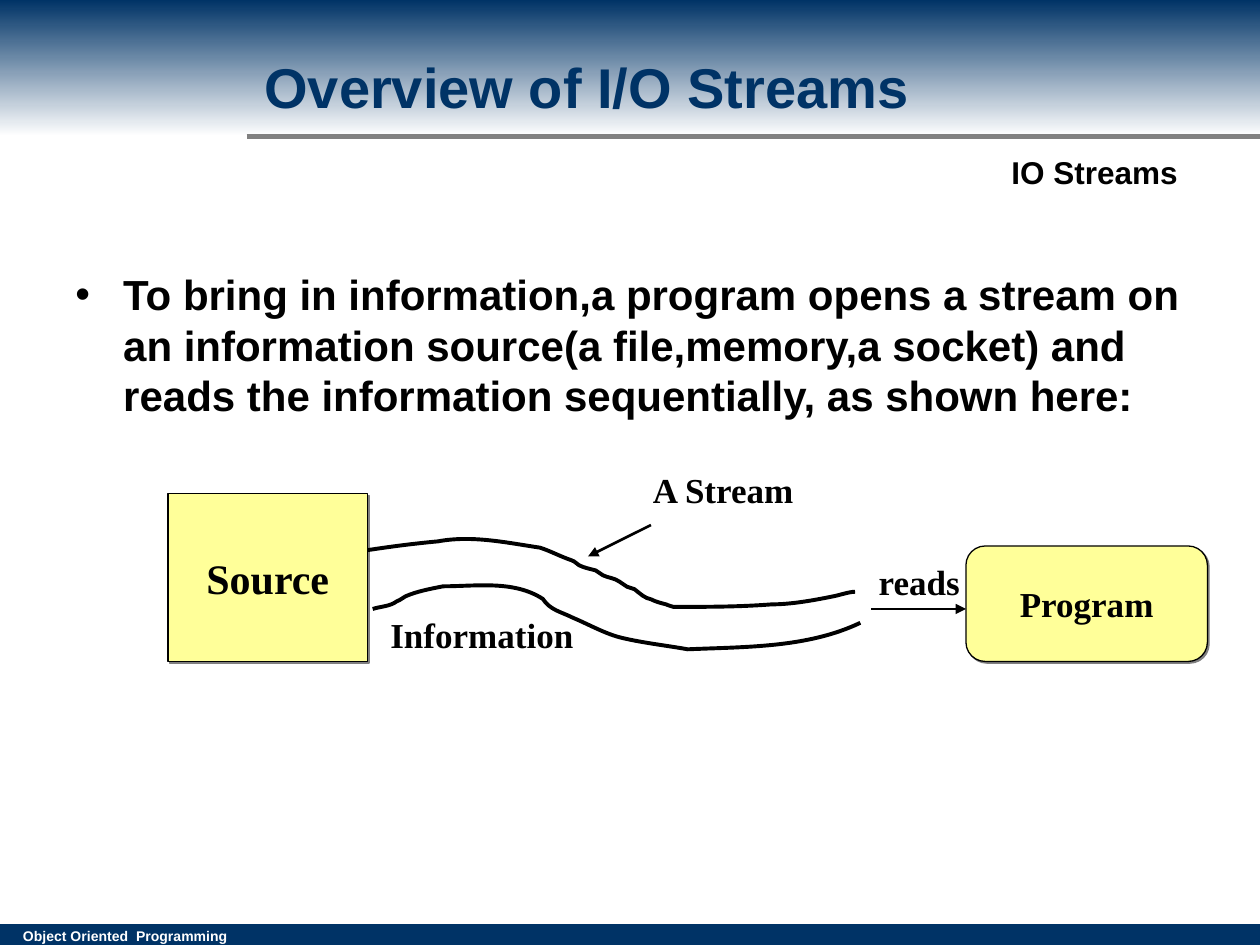
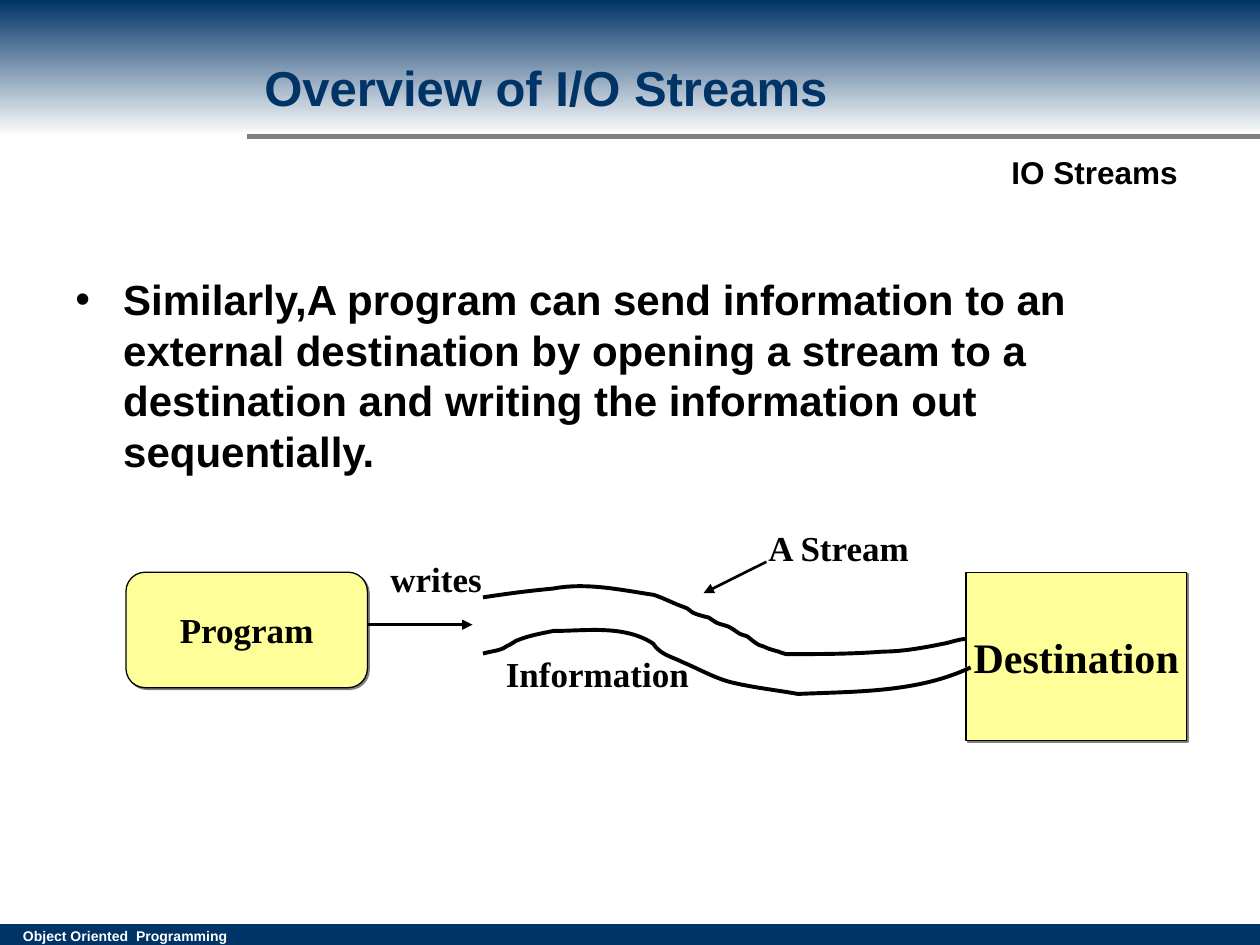
import pptx
import pptx.dml.color
import pptx.enum.shapes
import pptx.enum.text
import pptx.oxml.ns
import pptx.util
import lxml.etree

SHAPES = pptx.enum.shapes.MSO_SHAPE
ANCHOR = pptx.enum.text.MSO_ANCHOR
ALIGN = pptx.enum.text.PP_ALIGN

COLUMNS, ROWS = 120, 90  # grid cells of 1/12 inch
NAVY, WHITE, BLACK, GREY, YELLOW = "003366", "FFFFFF", "000000", "808080", "FFFF99"
HEADING_FONT, DIAGRAM_FONT = "Arial", "Times New Roman"

# Stream banks in inches from their left end: each row is two control points and an end point.
UPPER_BANK = [
    ((0.2, -0.03), (0.35, -0.05), (0.56, -0.07)),
    ((0.83, -0.12), (1.1, -0.06), (1.37, -0.02)),
    ((1.46, 0.01), (1.53, 0.05), (1.62, 0.08)),
    ((1.65, 0.09), (1.66, 0.11), (1.68, 0.12)),
    ((1.72, 0.14), (1.77, 0.15), (1.81, 0.16)),
    ((1.83, 0.17), (1.85, 0.19), (1.87, 0.2)),
    ((1.91, 0.22), (1.96, 0.22), (2, 0.25)),
    ((2.02, 0.26), (2.04, 0.28), (2.06, 0.29)),
    ((2.08, 0.3), (2.1, 0.3), (2.12, 0.31)),
    ((2.17, 0.35), (2.2, 0.38), (2.25, 0.39)),
    ((2.29, 0.41), (2.33, 0.42), (2.37, 0.43)),
    ((2.39, 0.44), (2.43, 0.45), (2.43, 0.45)),
    ((2.69, 0.45), (2.95, 0.45), (3.21, 0.43)),
    ((3.36, 0.43), (3.53, 0.4), (3.68, 0.37)),
    ((3.74, 0.36), (3.82, 0.33), (3.87, 0.33)),
]
LOWER_BANK = [
    ((0.06, -0.02), (0.14, -0.02), (0.19, -0.06)),
    ((0.22, -0.07), (0.24, -0.09), (0.26, -0.1)),
    ((0.35, -0.14), (0.46, -0.16), (0.56, -0.18)),
    ((0.82, -0.18), (1.12, -0.23), (1.35, -0.08)),
    ((1.41, 0.01), (1.49, 0.02), (1.59, 0.07)),
    ((1.71, 0.12), (1.85, 0.2), (1.98, 0.23)),
    ((2.15, 0.27), (2.33, 0.29), (2.5, 0.32)),
    ((2.96, 0.3), (3.45, 0.31), (3.87, 0.11)),
]


def cells(*counts):
    return [pptx.util.Inches(count / 12) for count in counts]


def color(value):
    return pptx.dml.color.RGBColor.from_string(value)


def add_xml(parent, tag, **attributes):
    element = lxml.etree.SubElement(parent, pptx.oxml.ns.qn(tag))
    for name, value in attributes.items():
        element.set(name, value)
    return element


def paint(shape, fill=None, line=None, width=0.75):
    shape.shadow.inherit = False
    if fill:
        shape.fill.solid()
        shape.fill.fore_color.rgb = color(fill)
    else:
        shape.fill.background()
    if line:
        shape.line.color.rgb = color(line)
        shape.line.width = pptx.util.Pt(width)
    else:
        shape.line.fill.background()


def write(shape, text, size, font, text_color=BLACK, wrap=True, anchor=ANCHOR.TOP, align=ALIGN.LEFT):
    frame = shape.text_frame
    frame.text = text
    frame.word_wrap = wrap
    frame.vertical_anchor = anchor
    paragraph = frame.paragraphs[0]
    paragraph.alignment = align
    run_font = paragraph.runs[0].font
    run_font.size = pptx.util.Pt(size)
    run_font.name = font
    run_font.bold = True
    run_font.color.rgb = color(text_color)
    return paragraph


def add_text(slide, place, text, size, font=HEADING_FONT, **style):
    return write(slide.shapes.add_textbox(*cells(*place)), text, size, font, **style)


def add_label(slide, left, top, width, text):
    add_text(slide, (left, top, width, 5.3), text, 20, DIAGRAM_FONT)


def add_band(slide, top, height):
    band = slide.shapes.add_shape(SHAPES.RECTANGLE, *cells(0, top, COLUMNS, height))
    paint(band, NAVY)
    return band


def add_line(slide, start, end, line_color, width, arrow=False):
    connector = slide.shapes.add_connector(
        pptx.enum.shapes.MSO_CONNECTOR.STRAIGHT, *cells(*start, *end))
    connector.line.color.rgb = color(line_color)
    connector.line.width = pptx.util.Pt(width)
    if arrow:
        add_xml(connector.line._get_or_add_ln(), "a:tailEnd", type="triangle")
    add_xml(connector._element.spPr, "a:effectLst")


def add_arrow(slide, start, end):
    add_line(slide, start, end, BLACK, 1.5, arrow=True)


def add_box(slide, kind, place, text, size):
    """Yellow diagram box with a thin hard shadow."""
    box = slide.shapes.add_shape(kind, *cells(*place))
    paint(box, YELLOW, BLACK)
    effects = box._element.spPr.find(pptx.oxml.ns.qn("a:effectLst"))
    shadow = add_xml(effects, "a:outerShdw", dist=str(pptx.util.Pt(1.4)), dir="2700000",
                     algn="ctr", rotWithShape="0")
    add_xml(shadow, "a:srgbClr", val=GREY)
    write(box, text, size, DIAGRAM_FONT, wrap=False, anchor=ANCHOR.MIDDLE, align=ALIGN.CENTER)


def add_program(slide, left, top):
    add_box(slide, SHAPES.FLOWCHART_ALTERNATE_PROCESS, (left, top, 23, 11), "Program", 20)


def bend(shape):
    """Turn each three straight segments of a freeform into one cubic curve."""
    segments = list(shape._element.iter(pptx.oxml.ns.qn("a:lnTo")))
    outline = segments[0].getparent()
    for index in range(0, len(segments), 3):
        curve = add_xml(outline, "a:cubicBezTo")
        for segment in segments[index:index + 3]:
            curve.append(segment[0])
            outline.remove(segment)


def add_bank(slide, start, curves, fill=None, stretch=1):
    left, top = cells(*start)
    builder = slide.shapes.build_freeform(left, top)
    builder.add_line_segments(
        [(left + pptx.util.Inches(x * stretch), top + pptx.util.Inches(y))
         for curve in curves for x, y in curve],
        close=False)
    bank = builder.convert_to_shape()
    bend(bank)
    paint(bank, fill, BLACK, 2.25)


def add_stream(slide, upper_start, lower_start, upper_stretch=1):
    add_bank(slide, lower_start, LOWER_BANK, WHITE)
    add_bank(slide, upper_start, UPPER_BANK, stretch=upper_stretch)


def add_bullet(slide, top, text):
    paragraph = add_text(slide, (6, top, 108, 59.4), text, 24)
    properties = paragraph._p.get_or_add_pPr()
    indent = pptx.util.Inches(0.38)
    properties.set("marL", str(indent))
    properties.set("indent", str(-indent))
    add_xml(add_xml(properties, "a:buClr"), "a:srgbClr", val=BLACK)
    add_xml(properties, "a:buFont", typeface=HEADING_FONT)
    add_xml(properties, "a:buChar", char="•")


def add_base_slide(presentation, title_size):
    slide = presentation.slides.add_slide(presentation.slide_layouts[6])
    add_band(slide, 88, 2)
    add_text(slide, (1, 87.75, 22.5, 2.9), "Object Oriented  Programming", 8, text_color=WHITE)
    header = add_band(slide, 0, 13)
    header.fill.gradient()
    header.fill.gradient_angle = 270
    for stop, stop_color, position in zip(header.fill.gradient_stops, (NAVY, WHITE), (0, 1)):
        stop.color.rgb = color(stop_color)
        stop.position = position
    add_line(slide, (23.5, 13), (COLUMNS, 13), GREY, 3)
    add_text(slide, (95.15, 13.97, 18.2, 4.8), "IO Streams", 18, wrap=False)
    add_text(slide, (24, 2.25, 90, 12), "Overview of I/O Streams", title_size,
             text_color=NAVY, anchor=ANCHOR.MIDDLE)
    return slide


def add_reading_slide(presentation):
    slide = add_base_slide(presentation, 32)
    add_bullet(slide, 25, "To bring in information,a program opens a stream on an information "
               "source(a file,memory,a socket) and reads the information sequentially, "
               "as shown here:")
    add_box(slide, SHAPES.RECTANGLE, (16, 47, 19, 16), "Source", 24)
    add_program(slide, 92, 52)
    add_stream(slide, (35, 52.4), (35.5, 58))
    add_label(slide, 36, 57.8, 41, "Information")
    add_arrow(slide, (62, 50), (56, 53))
    add_label(slide, 61, 44, 18, "A Stream")
    add_label(slide, 82.5, 52.8, 12, "reads")
    add_arrow(slide, (83, 58), (92, 58))


def add_writing_slide(presentation):
    slide = add_base_slide(presentation, 28)
    add_bullet(slide, 25.5, "Similarly,A program can send information to an external destination "
               "by opening a stream to a destination and writing the information out "
               "sequentially.")
    add_box(slide, SHAPES.RECTANGLE, (92, 54.5, 21, 16), "Destination", 24)
    add_program(slide, 12, 54.5)
    add_stream(slide, (46, 56.9), (46, 62.25), upper_stretch=0.99)
    add_label(slide, 47, 61.6, 41, "Information")
    add_arrow(slide, (73, 53.5), (67, 56.5))
    add_label(slide, 72, 49.55, 18, "A Stream")
    add_label(slide, 36, 52.5, 12, "writes")
    add_arrow(slide, (35, 59.5), (45, 59.5))


def main():
    presentation = pptx.Presentation()
    presentation.slide_width, presentation.slide_height = cells(COLUMNS, ROWS)
    add_reading_slide(presentation)
    add_writing_slide(presentation)
    presentation.save("out.pptx")


if __name__ == "__main__":
    main()
